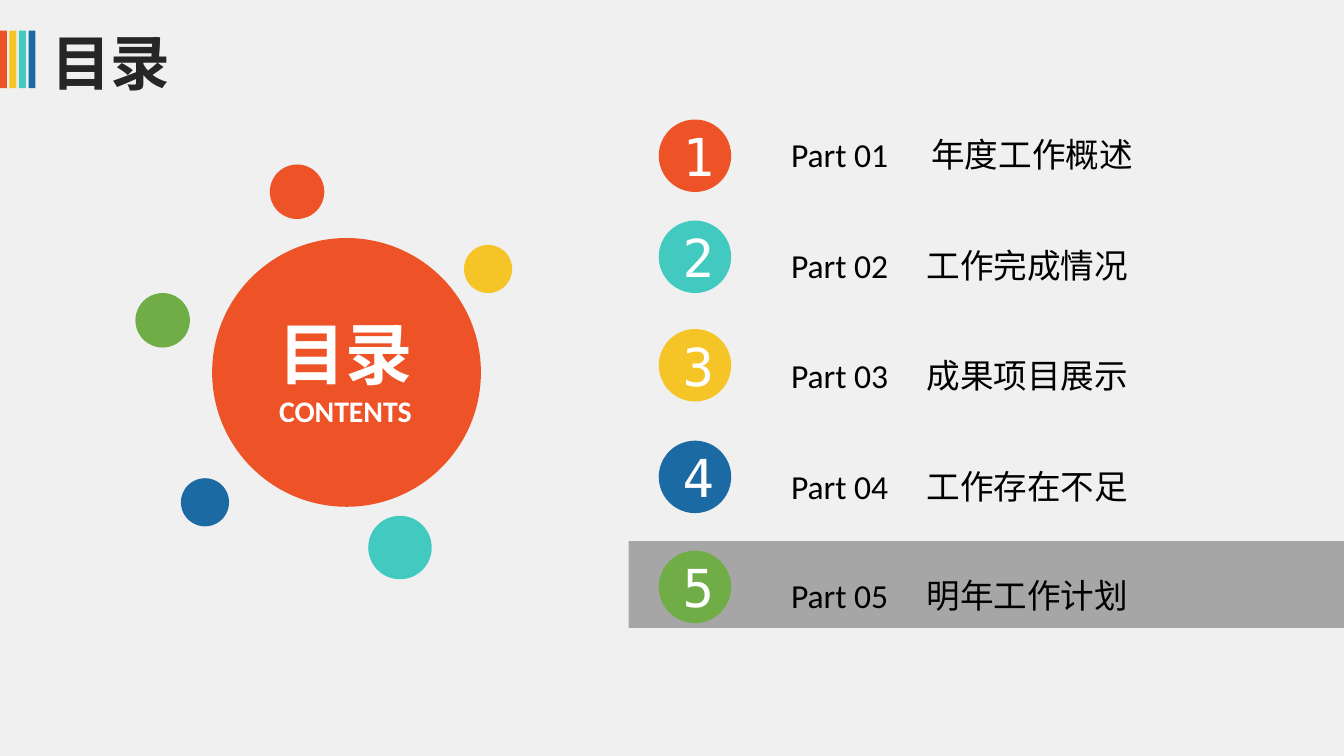
from lxml import etree
from pptx import Presentation
from pptx.dml.color import RGBColor
from pptx.enum.shapes import MSO_SHAPE
from pptx.enum.text import MSO_ANCHOR, PP_ALIGN
from pptx.oxml.ns import qn
from pptx.util import Cm, Pt

RECTANGLE = MSO_SHAPE.RECTANGLE
ROUNDED = MSO_SHAPE.ROUNDED_RECTANGLE
OVAL = MSO_SHAPE.OVAL
MIDDLE = MSO_ANCHOR.MIDDLE
LEFT, CENTER = PP_ALIGN.LEFT, PP_ALIGN.CENTER

ORANGE, YELLOW, TEAL = "ED5326", "F5C527", "42CAC0"
BLUE, GREEN = "1B6AA3", "70AD47"
WHITE, BLACK, DARK, GRAY, PALE = "FFFFFF", "000000", "262626", "A6A6A6", "F0F0F0"

HEADING = {"name": "Calibri", "size": Pt(32), "bold": True, "color": DARK}
HUB_TITLE = {"name": "Calibri", "size": Pt(36), "bold": True, "color": WHITE}
HUB_SUBTITLE = {"name": "Calibri", "size": Pt(16), "bold": True, "color": WHITE}
NUMBER = {"name": "DejaVu Sans Mono", "size": Pt(28), "color": WHITE}
LABEL = {"name": "Calibri", "size": Pt(18), "color": BLACK}

# Part title, colour, top of number, top of label, tab stop (cm)
PARTS = [
    ("年度工作概述", ORANGE, 2.26, 2.41, 2.65),
    ("工作完成情况", TEAL, 4.17, 4.5, 2.56),
    ("成果项目展示", YELLOW, 6.22, 6.58, 2.56),
    ("工作存在不足", BLUE, 8.33, 8.69, 2.56),
    ("明年工作计划", GREEN, 10.41, 10.74, 2.56),
]

# Left, top, diameter (cm), colour
SATELLITES = [
    (5.1, 3.11, 1.03, ORANGE),
    (8.77, 4.63, 0.91, YELLOW),
    (3.42, 9.04, 0.91, BLUE),
    (2.56, 5.54, 1.03, GREEN),
    (6.96, 9.75, 1.2, TEAL),
]


def rgb(color):
    return RGBColor.from_string(color)


def add_figure(shapes, kind, left, top, width, height, color=None):
    shape = shapes.add_shape(kind, Cm(left), Cm(top), Cm(width), Cm(height))
    shape.shadow.inherit = False
    shape.line.fill.background()
    if color:
        shape.fill.solid()
        shape.fill.fore_color.rgb = rgb(color)
    else:
        shape.fill.background()
    return shape


def add_text_box(shapes, left, top, width, height):
    box = shapes.add_textbox(Cm(left), Cm(top), Cm(width), Cm(height))
    box.text_frame.word_wrap = True
    return box


def write(paragraph, text, style, alignment):
    paragraph.alignment = alignment
    run = paragraph.add_run()
    run.text = text
    for attribute, value in style.items():
        if attribute == "color":
            run.font.color.rgb = rgb(value)
        else:
            setattr(run.font, attribute, value)


def set_tab_stop(paragraph, position):
    properties = paragraph._p.get_or_add_pPr()
    tabs = etree.SubElement(properties, qn("a:tabLst"))
    etree.SubElement(tabs, qn("a:tab"), pos=str(Cm(position)), algn="l")


def add_header(shapes):
    for index, color in enumerate((ORANGE, YELLOW, TEAL, BLUE)):
        add_figure(shapes, RECTANGLE, index * 0.18, 0.58, 0.13, 1.09, color)
    heading = add_figure(shapes, ROUNDED, 0.53, 0.53, 7.52, 1.27)
    heading.adjustments[0] = 0.5
    frame = heading.text_frame
    frame.vertical_anchor = MIDDLE
    # The corner radius already pads the text on the left
    write(frame.paragraphs[0], "目录", HEADING, LEFT)


def add_part(shapes, number, title, color, circle_top, label_top, tab_stop):
    label = add_text_box(shapes, 14.45, label_top, 7.39, 1.02)
    label.text_frame.margin_left = Cm(0.5)
    paragraph = label.text_frame.paragraphs[0]
    write(paragraph, f"Part {number:02d}\t{title}", LABEL, LEFT)
    set_tab_stop(paragraph, tab_stop)

    circle = add_figure(shapes, OVAL, 12.45, circle_top, 1.37, 1.37, color)
    circle.text_frame.vertical_anchor = MIDDLE
    write(circle.text_frame.paragraphs[0], str(number), NUMBER, CENTER)


def add_hub(shapes):
    hub = shapes.add_group_shape().shapes
    add_figure(hub, OVAL, 4.01, 4.5, 5.08, 5.08, ORANGE)
    frame = add_text_box(hub, 3.71, 5.77, 5.64, 2.49).text_frame
    write(frame.paragraphs[0], "目录", HUB_TITLE, CENTER)
    write(frame.add_paragraph(), "CONTENTS", HUB_SUBTITLE, CENTER)


def main():
    presentation = Presentation()
    presentation.slide_width = Cm(25.4)
    presentation.slide_height = Cm(14.29)
    slide = presentation.slides.add_slide(presentation.slide_layouts[6])
    slide.background.fill.solid()
    slide.background.fill.fore_color.rgb = rgb(PALE)
    shapes = slide.shapes

    add_header(shapes)

    # Highlight band behind the current part, then the list
    add_figure(shapes, RECTANGLE, 11.88, 10.23, 13.52, 1.64, GRAY)
    for number, part in enumerate(PARTS, start=1):
        add_part(shapes, number, *part)

    # Central circle with its satellites
    add_hub(shapes)
    for left, top, diameter, color in SATELLITES:
        add_figure(shapes, OVAL, left, top, diameter, diameter, color)

    presentation.save("out.pptx")


if __name__ == "__main__":
    main()
